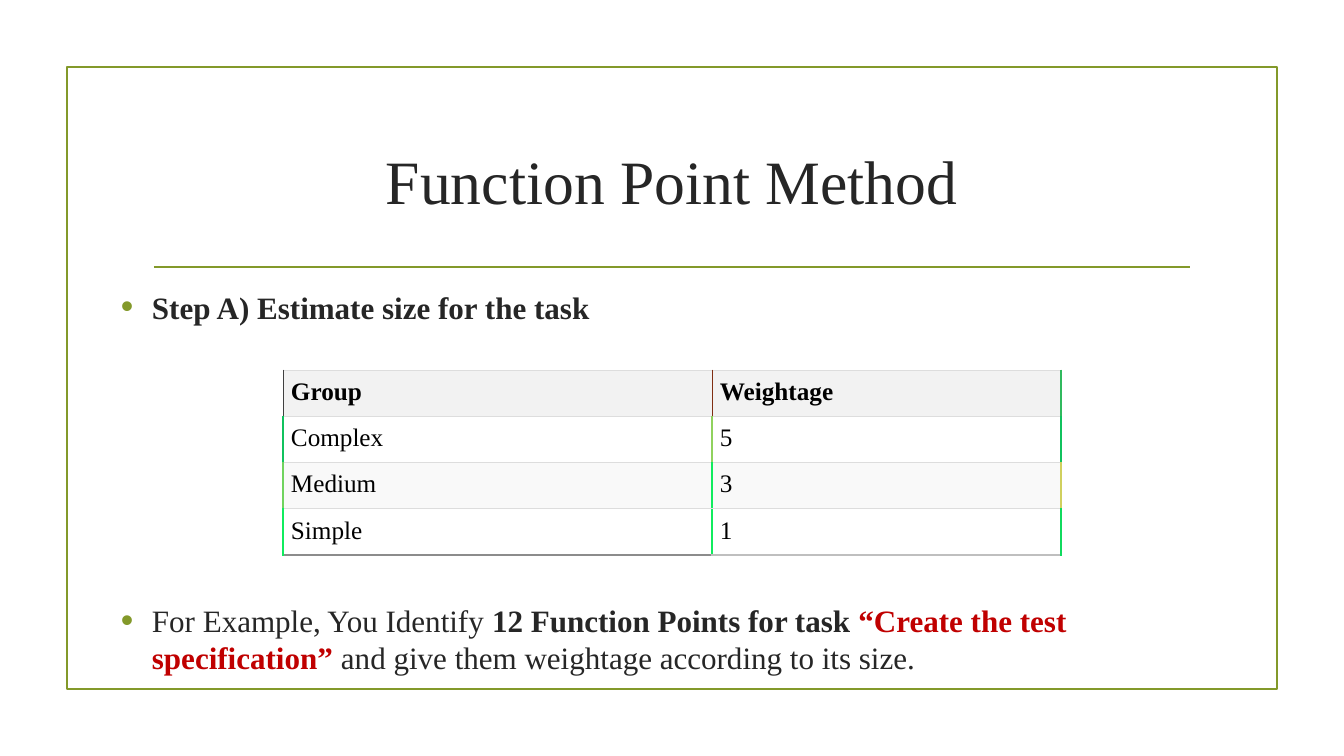
from lxml import etree
from pptx import Presentation, util as u
from pptx.dml.color import RGBColor
from pptx.enum import shapes, text
from pptx.oxml import ns

PX = 914400 / 100.8
FONT = "Times New Roman"
COLOURS = {
    "olive": "83992A", "ink": "262626", "black": "000000", "red": "C00000",
    "header": "F2F2F2", "band": "F9F9F9", "white": "FFFFFF", "grid": "DDDDDD",
    "charcoal": "404040", "brown": "802E12", "grey": "8C8C8C", "silver": "BFBFBF",
    "forest": "30B95E", "green": "10C25E", "leaf": "70D35E", "lime": "90D25E",
    "bright": "10EC5E", "mustard": "D0D05E", "emerald": "10DA5E",
}


def px(length):
    return u.Emu(round(length * PX))


def rgb(name):
    return RGBColor.from_string(COLOURS[name])


def add_xml(parent, tag, **attributes):
    return etree.SubElement(parent, ns.qn(tag), attributes)


def set_font(font, size, colour, bold=False):
    font.name = FONT
    font.size = u.Pt(size)
    font.color.rgb = rgb(colour)
    font.bold = bold


class SlideBuilder:
    def __init__(self, slide):
        self.slide = slide

    def frame(self, left, top, width, height):
        box = self.slide.shapes.add_shape(
            shapes.MSO_SHAPE.RECTANGLE, px(left), px(top), px(width), px(height))
        box.shadow.inherit = False
        box.fill.background()
        self.outline(box)

    def rule(self, left, right, y):
        line = self.slide.shapes.add_connector(
            shapes.MSO_CONNECTOR.STRAIGHT, px(left), px(y), px(right), px(y))
        self.outline(line)
        add_xml(line._element.spPr, "a:effectLst")

    def outline(self, shape):
        shape.line.color.rgb = rgb("olive")
        shape.line.width = u.Pt(1.25)

    def text_box(self, left, top, width, height):
        box = self.slide.shapes.add_textbox(px(left), px(top), px(width), px(height))
        box.text_frame.word_wrap = True
        return box.text_frame

    def title(self, wording, *place):
        frame = self.text_box(*place)
        frame.vertical_anchor = text.MSO_ANCHOR.MIDDLE
        para = frame.paragraphs[0]
        para.text = wording
        para.alignment = text.PP_ALIGN.CENTER
        set_font(para.font, 44, "ink")

    def bullets(self, items, gap, *place):
        """Each item is a list of (wording, colour, bold); gap in points parts the items."""
        frame = self.text_box(*place)
        for index, item in enumerate(items):
            para = frame.add_paragraph() if index else frame.paragraphs[0]
            if index:
                para.space_before = u.Pt(gap)
            para.space_after = u.Pt(6)
            props = para._p.get_or_add_pPr()
            props.set("marL", str(px(31)))
            props.set("indent", str(-px(31)))
            add_xml(add_xml(props, "a:buClr"), "a:srgbClr", val=COLOURS["olive"])
            add_xml(props, "a:buSzPct", val="115000")
            add_xml(props, "a:buFont", typeface="Arial")
            add_xml(props, "a:buChar", char="•")
            for wording, colour, bold in item:
                span = para.add_run()
                span.text = wording
                set_font(span.font, 22.2, colour, bold)

    def borders(self, cell, sides):
        """Sides are (colour, points) pairs in the order left, right, top, bottom."""
        props = cell._tc.get_or_add_tcPr()
        for side, (colour, points) in zip("LRTB", sides):
            line = add_xml(props, f"a:ln{side}", w=str(u.Pt(points)))
            add_xml(add_xml(line, "a:solidFill"), "a:srgbClr", val=COLOURS[colour])

    def table(self, rows, fills, uprights, bottoms, left, top, widths, row_height):
        """Uprights hold the vertical borders of each row, from left to right."""
        table = self.slide.shapes.add_table(
            len(rows), len(widths), px(left), px(top),
            px(sum(widths)), px(row_height * len(rows))).table
        for column, width in zip(table.columns, widths):
            column.width = px(width)
        for r, row in enumerate(rows):
            table.rows[r].height = px(row_height)
            for c, wording in enumerate(row):
                cell = table.cell(r, c)
                cell.margin_left = cell.margin_right = px(8)
                cell.margin_top = cell.margin_bottom = px(8)
                below = (bottoms[c], 1) if r == len(rows) - 1 else ("grid", 0.75)
                self.borders(cell, [*uprights[r][c:c + 2], ("grid", 0.75), below])
                cell.fill.solid()
                cell.fill.fore_color.rgb = rgb(fills[r])
                para = cell.text_frame.paragraphs[0]
                para.text = wording
                set_font(para.font, 18, "black", bold=r == 0)


def main():
    deck = Presentation()
    deck.slide_width, deck.slide_height = px(1344), px(756)
    page = SlideBuilder(deck.slides.add_slide(deck.slide_layouts[6]))

    page.frame(67, 67, 1210, 622)
    page.rule(154, 1190, 267)
    page.title("Function Point Method", 143, 108, 1058, 144)
    page.bullets([
        [("Step A) Estimate size for the task", "ink", True)],
        [("For Example, You Identify ", "ink", False),
         ("12 Function Points for task ", "ink", True),
         ("“Create the test specification” ", "red", True),
         ("and give them weightage according to its size.", "ink", False)],
    ], 191, 111, 283, 1137, 393)
    page.table(
        rows=[("Group", "Weightage"), ("Complex", "5"), ("Medium", "3"), ("Simple", "1")],
        fills=["header", "white", "band", "white"],
        uprights=[
            [("charcoal", 0.75), ("brown", 0.75), ("forest", 1)],
            [("green", 1), ("lime", 1), ("green", 1)],
            [("leaf", 1), ("bright", 1), ("mustard", 1)],
            [("bright", 1), ("bright", 1), ("emerald", 1)],
        ],
        bottoms=["grey", "silver"],
        left=283, top=370, widths=[429, 349], row_height=45)
    deck.save("out.pptx")


if __name__ == "__main__":
    main()
